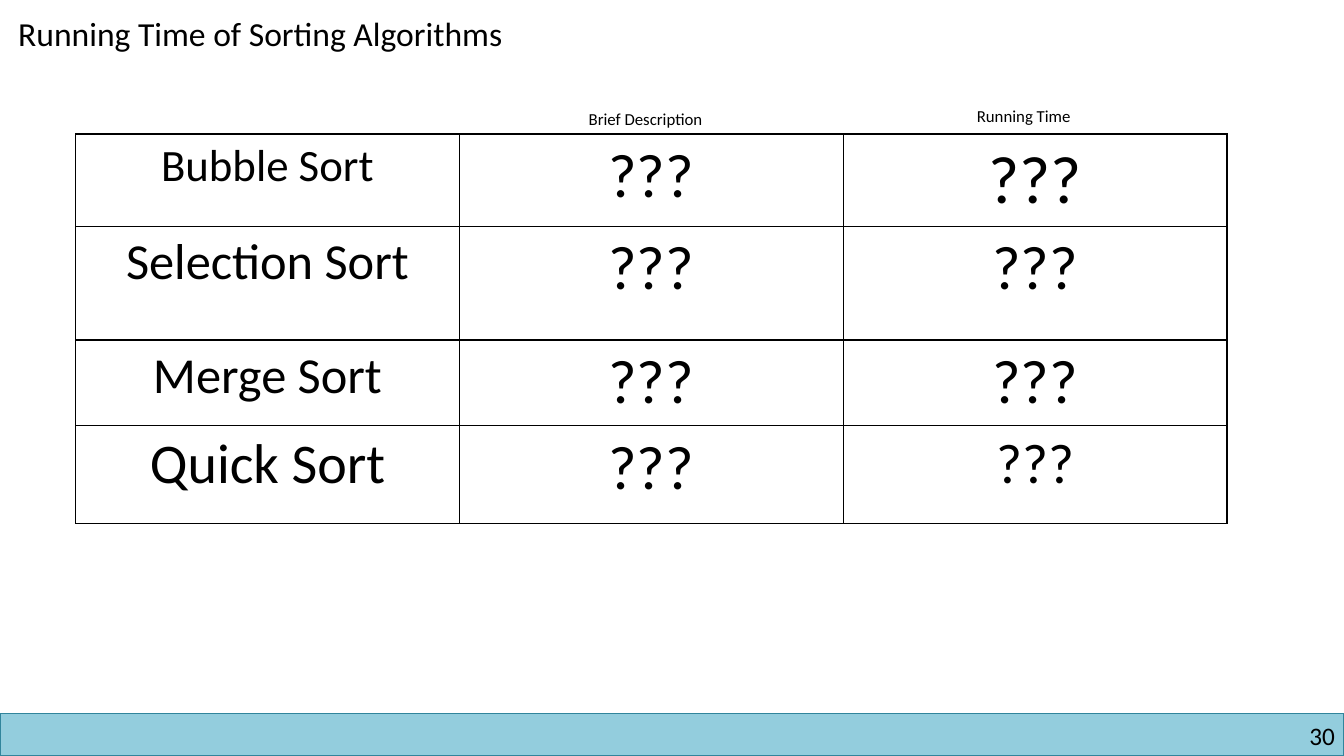
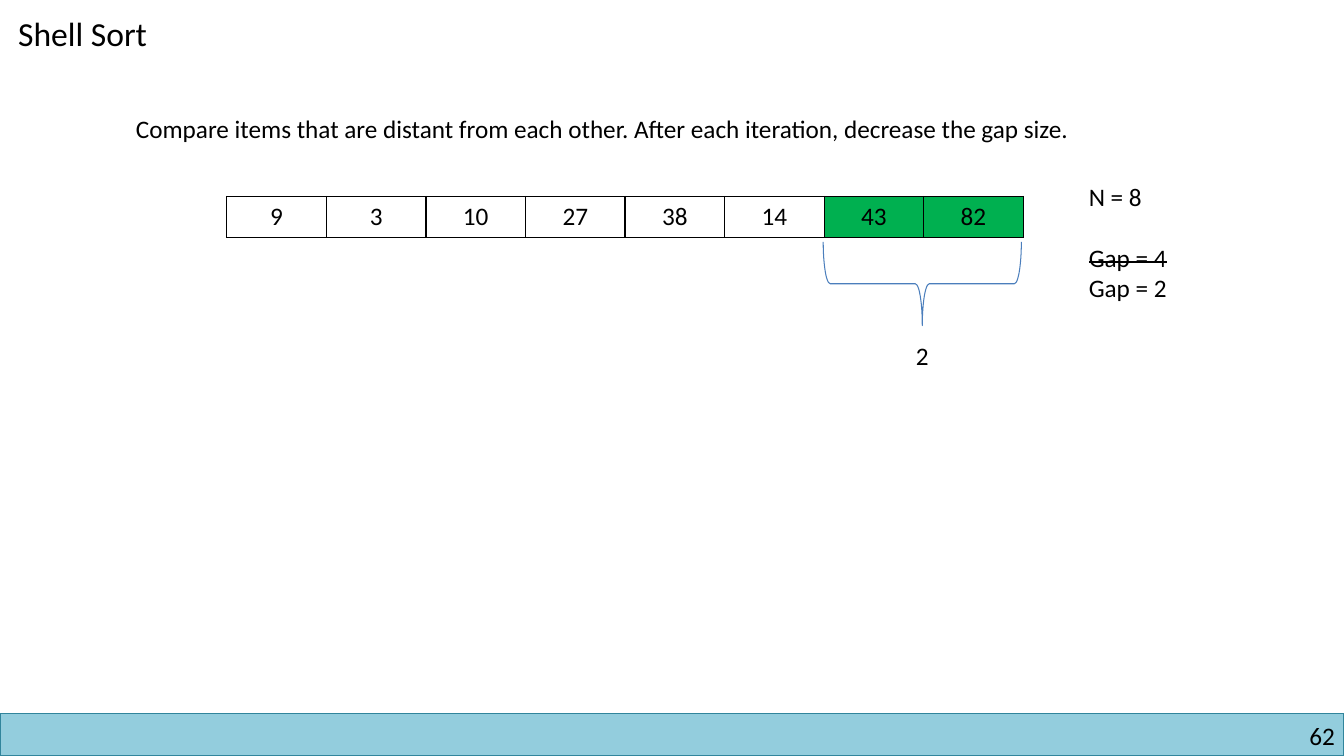
import dataclasses

import lxml.etree
import pptx
import pptx.dml.color
import pptx.enum.shapes
import pptx.enum.text
import pptx.oxml.ns
import pptx.util

Inches = pptx.util.Inches
Align = pptx.enum.text.PP_ALIGN
qn = pptx.oxml.ns.qn


@dataclasses.dataclass(frozen=True)
class Theme:
    font: str = "Calibri"
    ink: str = "000000"
    paper: str = "FFFFFF"
    band: str = "93CDDD"
    band_edge: str = "31859C"
    compared: str = "00B050"
    brace: str = "4B7EBC"
    title_size: int = 24
    text_size: int = 18
    heading_size: int = 12


@dataclasses.dataclass(frozen=True)
class Box:
    left: float
    top: float
    width: float
    height: float

    def lengths(self):
        return [Inches(side) for side in dataclasses.astuple(self)]


THEME = Theme()
PAGE = Box(0, 0, 13.33, 7.5)
TITLE_ONLY = 5


def color(code):
    return pptx.dml.color.RGBColor.from_string(code)


def write_text(frame, *lines, size=THEME.text_size, align=Align.LEFT, wrap=False,
               inset=None, struck=(), gaps=None):
    frame.word_wrap = wrap
    frame.auto_size = pptx.enum.text.MSO_AUTO_SIZE.NONE
    frame.vertical_anchor = pptx.enum.text.MSO_ANCHOR.TOP
    if inset is not None:
        frame.margin_left = frame.margin_right = Inches(inset)
        frame.margin_top = frame.margin_bottom = Inches(inset)
    for index, line in enumerate(lines):
        paragraph = frame.paragraphs[0] if index == 0 else frame.add_paragraph()
        paragraph.alignment = align
        if gaps and index in gaps:
            paragraph.space_before = pptx.util.Pt(gaps[index])
        run = paragraph.add_run()
        run.text = line
        run.font.name = THEME.font
        run.font.size = pptx.util.Pt(size)
        run.font.color.rgb = color(THEME.ink)
        if index in struck:
            run.font._element.set("strike", "sngStrike")


def add_text(slide, box, *lines, **text_format):
    frame = slide.shapes.add_textbox(*box.lengths()).text_frame
    write_text(frame, *lines, **text_format)


def draw_borders(cell):
    properties = cell._tc.get_or_add_tcPr()
    for side in ("lnL", "lnR", "lnT", "lnB"):
        border = lxml.etree.SubElement(properties, qn(f"a:{side}"), w=str(pptx.util.Pt(1)))
        ink = lxml.etree.SubElement(border, qn("a:solidFill"))
        lxml.etree.SubElement(ink, qn("a:srgbClr"), val=THEME.ink)


def add_grid(slide, box, rows, heights, marked=()):
    columns = len(rows[0])
    grid = slide.shapes.add_table(len(rows), columns, *box.lengths()).table
    grid.first_row = grid.horz_banding = False
    for column in grid.columns:
        column.width = Inches(box.width / columns)
    for row_index, (entries, height) in enumerate(zip(rows, heights)):
        grid.rows[row_index].height = Inches(height)
        for column_index, (text, size) in enumerate(entries):
            cell = grid.cell(row_index, column_index)
            draw_borders(cell)
            cell.fill.solid()
            cell.fill.fore_color.rgb = color(
                THEME.compared if column_index in marked else THEME.paper)
            write_text(cell.text_frame, text, size=size, align=Align.CENTER, wrap=True)


def add_footer(slide, box, number):
    band = slide.shapes.add_shape(pptx.enum.shapes.MSO_SHAPE.RECTANGLE, *box.lengths())
    band.shadow.inherit = False
    band.fill.solid()
    band.fill.fore_color.rgb = color(THEME.band)
    band.line.color.rgb = color(THEME.band_edge)
    band.line.width = pptx.util.Pt(1)
    number_box = Box(box.left + box.width - 3.16, box.top + 0.07, 3.07, 0.3)
    add_text(slide, number_box, str(number), align=Align.RIGHT, wrap=True, inset=0)


def add_page(deck, title, number):
    slide = deck.slides.add_slide(deck.slide_layouts[TITLE_ONLY])
    add_footer(slide, Box(0, 7.08, PAGE.width, 0.42), number)
    heading = slide.shapes.title
    heading.left, heading.top, heading.width, heading.height = Box(0.08, 0.08, 12, 0.5).lengths()
    write_text(heading.text_frame, title, size=THEME.title_size)
    return slide


def add_running_times(slide, box):
    unknown = "???"
    rows = [
        [("Bubble Sort", 32), (unknown, 44), (unknown, 48)],
        [("Selection Sort", 36), (unknown, 44), (unknown, 44)],
        [("Merge Sort", 36), (unknown, 44), (unknown, 44)],
        [("Quick Sort", 40), (unknown, 44), (unknown, 40)],
    ]
    add_grid(slide, box, rows, heights=[0.9, 1.13, 0.83, 0.97])
    headings = [("Brief Description", 4.99, 0.3), ("Running Time", 8.84, 0.33)]
    for heading, offset, rise in headings:
        heading_box = Box(box.left + offset, box.top - rise, 1.43, 0.3)
        add_text(slide, heading_box, heading, size=THEME.heading_size)


def add_gap_brace(slide, box, gap):
    center = box.left + box.width / 2
    middle = box.top + box.height / 2
    upright = Box(center - box.height / 2, middle - box.width / 2, box.height, box.width)
    brace = slide.shapes.add_shape(pptx.enum.shapes.MSO_SHAPE.LEFT_BRACE, *upright.lengths())
    brace.rotation = 270
    brace.shadow.inherit = False
    brace.fill.background()
    brace.line.color.rgb = color(THEME.brace)
    brace.line.width = pptx.util.Pt(0.75)
    label_box = Box(center - 0.17, box.top + box.height + 0.1, 0.34, 0.4)
    add_text(slide, label_box, str(gap), align=Align.CENTER)


def add_gap_comparison(slide, box, items, compared, gap):
    entries = [(str(item), THEME.text_size) for item in items]
    add_grid(slide, box, [entries], [box.height], marked=compared)
    step = box.width / len(items)
    brace_box = Box(box.left + compared[0] * step - 0.01, box.top + box.height + 0.04,
                    len(compared) * step - 0.01, 0.83)
    add_gap_brace(slide, brace_box, gap)
    status_box = Box(box.left + box.width + 0.55, box.top - 0.2, 1.11, 1.31)
    add_text(slide, status_box, f"N = {len(items)}", f"Gap = {2 * gap}", f"Gap = {gap}",
             struck=(1,), gaps={1: 22})


def main():
    deck = pptx.Presentation()
    deck.slide_width, deck.slide_height = Inches(PAGE.width), Inches(PAGE.height)

    running_times = add_page(deck, "Running Time of Sorting Algorithms", 30)
    add_running_times(running_times, Box(0.75, 1.33, 11.42, 3.83))

    shell_sort = add_page(deck, "Shell Sort", 62)
    add_text(shell_sort, Box(1.25, 1.08, 10.36, 0.4),
             "Compare items that are distant from each other. "
             "After each iteration, decrease the gap size.")
    add_gap_comparison(shell_sort, Box(2.25, 1.95, 7.9, 0.41),
                       [9, 3, 10, 27, 38, 14, 43, 82], compared=(6, 7), gap=2)

    deck.save("out.pptx")


if __name__ == "__main__":
    main()
